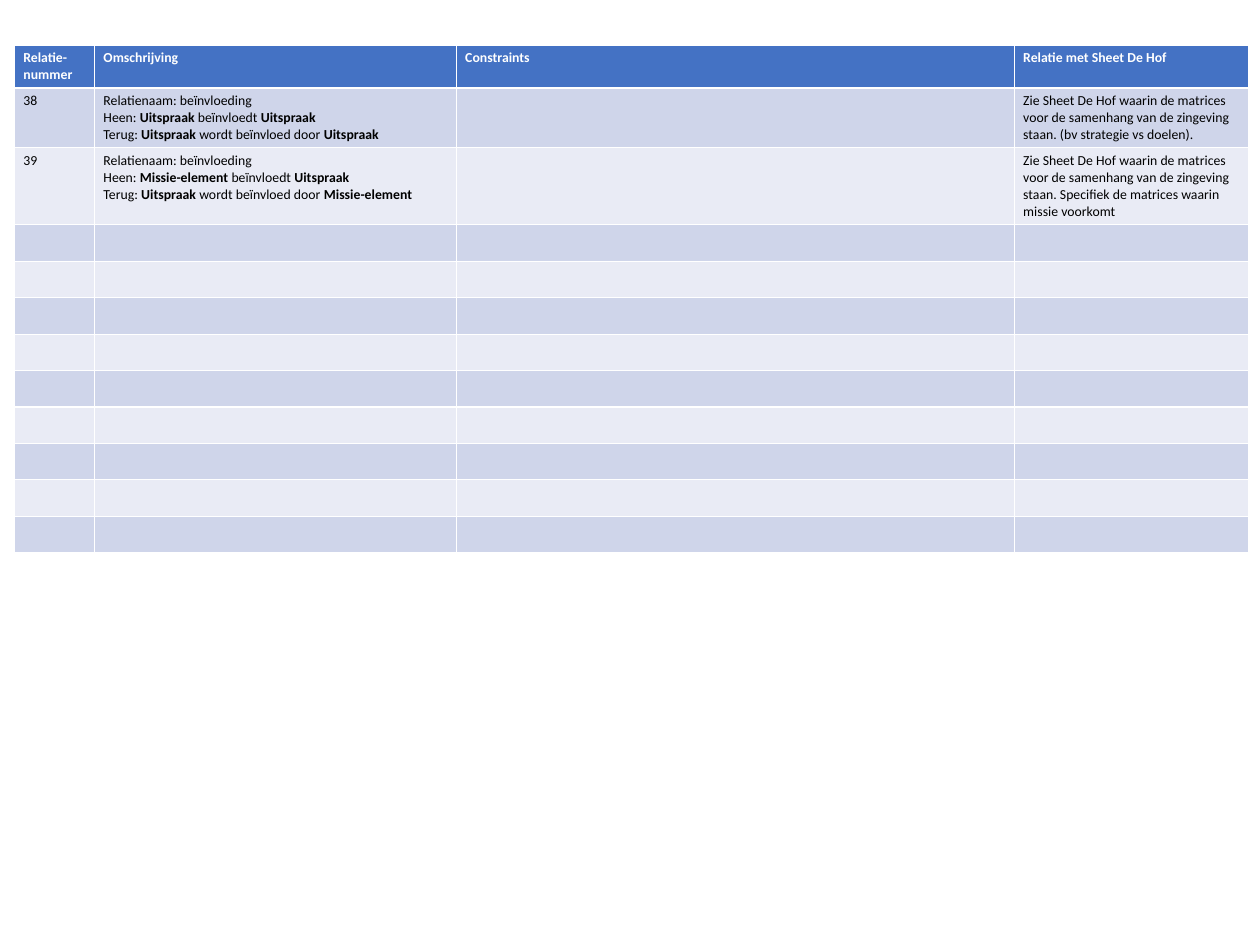
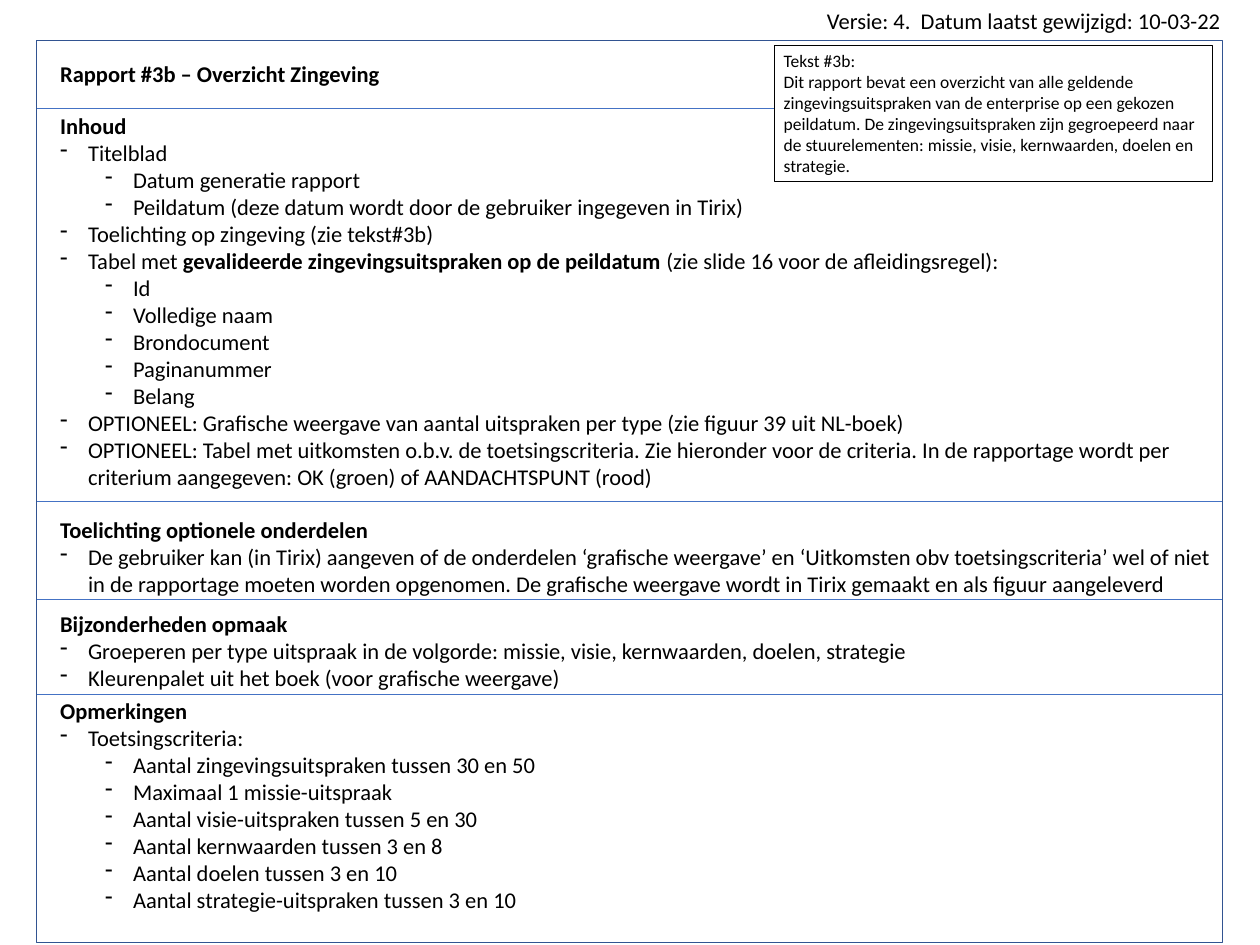
from lxml import etree
from pptx import Presentation
from pptx.dml.color import RGBColor
from pptx.enum.shapes import MSO_CONNECTOR, MSO_SHAPE
from pptx.enum.text import MSO_ANCHOR, PP_ALIGN
from pptx.oxml.ns import qn
from pptx.util import Inches, Pt

STRAIGHT = MSO_CONNECTOR.STRAIGHT
RECTANGLE = MSO_SHAPE.RECTANGLE
TOP = MSO_ANCHOR.TOP
LEFT = PP_ALIGN.LEFT

FONT = "Calibri"
BLACK = RGBColor(0x00, 0x00, 0x00)
WHITE = RGBColor(0xFF, 0xFF, 0xFF)
BLUE = RGBColor(0x44, 0x72, 0xC4)
FRAME_BLUE = RGBColor(0x32, 0x54, 0x91)
BANDS = (RGBColor(0xCF, 0xD5, 0xEA), RGBColor(0xE9, 0xEB, 0xF5))

HEADERS = ["Relatie-nummer", "Omschrijving", "Constraints", "Relatie met Sheet De Hof"]
RELATIONS = [
    ["38",
     ["Relatienaam: beïnvloeding",
      "Heen: *Uitspraak* beïnvloedt *Uitspraak*",
      "Terug: *Uitspraak* wordt beïnvloed door *Uitspraak*"],
     "",
     "Zie Sheet De Hof waarin de matrices voor de samenhang van de zingeving "
     "staan. (bv strategie vs doelen)."],
    ["39",
     ["Relatienaam: beïnvloeding",
      "Heen: *Missie-element* beïnvloedt *Uitspraak*",
      "Terug: *Uitspraak* wordt beïnvloed door *Missie-element*"],
     "",
     "Zie Sheet De Hof waarin de matrices voor de samenhang van de zingeving "
     "staan. Specifiek de matrices waarin missie voorkomt"],
]
EMPTY_ROWS = 9
COLUMN_WIDTHS = [0.89, 4.02, 6.2, 2.6]
ROW_HEIGHT = 4.86 / 12

VERSION = "Versie: 4.  Datum laatst gewijzigd: 10-03-22"
EXPLANATION = [
    "Tekst #3b:",
    "Dit rapport bevat een overzicht van alle geldende zingevingsuitspraken van de "
    "enterprise op een gekozen peildatum. De zingevingsuitspraken zijn gegroepeerd naar "
    "de stuurelementen: missie, visie, kernwaarden, doelen en strategie. ",
]
SECTIONS = [
    (0.62, 3.78, 0.4, False, ["*Rapport #3b – Overzicht Zingeving*"]),
    (1.19, 12.91, 4.64, True, [
        "*Inhoud*",
        "-Titelblad",
        "--Datum generatie rapport",
        "--Peildatum (deze datum wordt door de gebruiker ingegeven in Tirix)",
        "-Toelichting op zingeving (zie tekst#3b)",
        "-Tabel met *gevalideerde zingevingsuitspraken op de peildatum *"
        "(zie slide 16 voor de afleidingsregel):",
        "--Id",
        "--Volledige naam",
        "--Brondocument",
        "--Paginanummer",
        "--Belang",
        "-OPTIONEEL: Grafische weergave van aantal uitspraken per type "
        "(zie figuur 39 uit NL-boek)",
        "-OPTIONEEL: Tabel met uitkomsten o.b.v. de toetsingscriteria. Zie hieronder voor "
        "de criteria. In de rapportage wordt per criterium aangegeven: OK (groen) of "
        "AANDACHTSPUNT (rood)",
    ]),
    (5.68, 13.15, 1.01, True, [
        "*Toelichting optionele onderdelen*",
        "-De gebruiker kan (in Tirix) aangeven of de onderdelen ‘grafische weergave’ en "
        "‘Uitkomsten obv toetsingscriteria’ wel of niet in de rapportage moeten worden "
        "opgenomen. De grafische weergave wordt in Tirix gemaakt en als figuur aangeleverd",
    ]),
    (6.73, 9.72, 1.01, False, [
        "*Bijzonderheden opmaak*",
        "-Groeperen per type uitspraak in de volgorde: missie, visie, kernwaarden, "
        "doelen, strategie",
        "-Kleurenpalet uit het boek (voor grafische weergave)",
    ]),
    (7.69, 12.58, 2.5, True, [
        "*Opmerkingen*",
        "-Toetsingscriteria:",
        "--Aantal zingevingsuitspraken tussen 30 en 50",
        "--Maximaal 1 missie-uitspraak",
        "--Aantal visie-uitspraken tussen 5 en 30",
        "--Aantal kernwaarden tussen 3 en 8",
        "--Aantal doelen tussen 3 en 10",
        "--Aantal strategie-uitspraken tussen 3 en 10",
    ]),
]
SECTION_LEFT = 0.57
FRAME_LEFT, FRAME_TOP, FRAME_WIDTH, FRAME_HEIGHT = 0.41, 0.45, 13.17, 10.02
FRAME_RIGHT = FRAME_LEFT + FRAME_WIDTH
EXPLANATION_LEFT = 8.61
DIVIDERS = [(1.2, EXPLANATION_LEFT), (5.57, FRAME_RIGHT), (6.66, FRAME_RIGHT),
            (7.72, FRAME_RIGHT)]


def write(frame, lines, size, color=BLACK):
    for index, line in enumerate(lines):
        paragraph = frame.paragraphs[0] if index == 0 else frame.add_paragraph()
        paragraph.alignment = LEFT
        font = paragraph.font
        font.name, font.size, font.color.rgb = FONT, Pt(size), color
        words = line.lstrip("-")
        level = len(line) - len(words)
        if level:
            paragraph.level = level - 1
            properties = paragraph._p.get_or_add_pPr()
            properties.set("marL", str(Inches(0.31 + 0.5 * (level - 1))))
            properties.set("indent", str(Inches(-0.31)))
            properties.insert(0, etree.Element(qn("a:buFontTx")))
            properties.insert(1, etree.Element(qn("a:buChar"), char="-"))
        for part, text in enumerate(words.split("*")):
            if text:
                run = paragraph.add_run()
                run.text = text
                run.font.bold = part % 2 == 1


def add_text(slide, left, top, width, height, wrap, lines):
    box = slide.shapes.add_textbox(*map(Inches, (left, top, width, height)))
    box.text_frame.word_wrap = wrap
    write(box.text_frame, lines, 18)


def add_outline(slide, left, top, width, height, color, weight):
    outline = slide.shapes.add_shape(RECTANGLE, *map(Inches, (left, top, width, height)))
    outline.shadow.inherit = False
    outline.fill.background()
    outline.line.color.rgb = color
    outline.line.width = Pt(weight)
    return outline


def add_divider(slide, top, right):
    divider = slide.shapes.add_connector(
        STRAIGHT, *map(Inches, (FRAME_LEFT, top, right, top)))
    divider.line.color.rgb = BLUE
    divider.line.width = Pt(0.5)
    etree.SubElement(divider._element.spPr, qn("a:effectLst"))


def build_relations(slide):
    rows = [[f"*{header}*" for header in HEADERS]] + RELATIONS
    rows += [[""] * len(HEADERS) for _ in range(EMPTY_ROWS)]
    table = slide.shapes.add_table(
        len(rows), len(HEADERS), Inches(0.16), Inches(0.5),
        Inches(sum(COLUMN_WIDTHS)), Inches(ROW_HEIGHT * len(rows))).table
    for column, width in zip(table.columns, COLUMN_WIDTHS):
        column.width = Inches(width)
    for row_index, row in enumerate(rows):
        table.rows[row_index].height = Inches(ROW_HEIGHT)
        for column_index, content in enumerate(row):
            cell = table.cell(row_index, column_index)
            cell.fill.solid()
            cell.fill.fore_color.rgb = BANDS[(row_index - 1) % 2] if row_index else BLUE
            lines = content if isinstance(content, list) else [content]
            write(cell.text_frame, lines, 11, BLACK if row_index else WHITE)


def build_report(slide):
    add_outline(slide, FRAME_LEFT, FRAME_TOP, FRAME_WIDTH, FRAME_HEIGHT, FRAME_BLUE, 1)
    for top, right in DIVIDERS:
        add_divider(slide, top, right)
    for top, width, height, wrap, lines in SECTIONS:
        add_text(slide, SECTION_LEFT, top, width, height, wrap, lines)
    add_text(slide, 9.09, 0.03, 4.62, 0.4, False, [VERSION])
    explanation = add_outline(slide, EXPLANATION_LEFT, 0.51, 4.86, 1.51, BLACK, 0.75)
    explanation.text_frame.word_wrap = True
    explanation.text_frame.vertical_anchor = TOP
    write(explanation.text_frame, EXPLANATION, 14)


deck = Presentation()
deck.slide_width, deck.slide_height = Inches(14), Inches(10.5)
blank = deck.slide_layouts[6]
for build in (build_relations, build_report):
    build(deck.slides.add_slide(blank))
deck.save("out.pptx")
